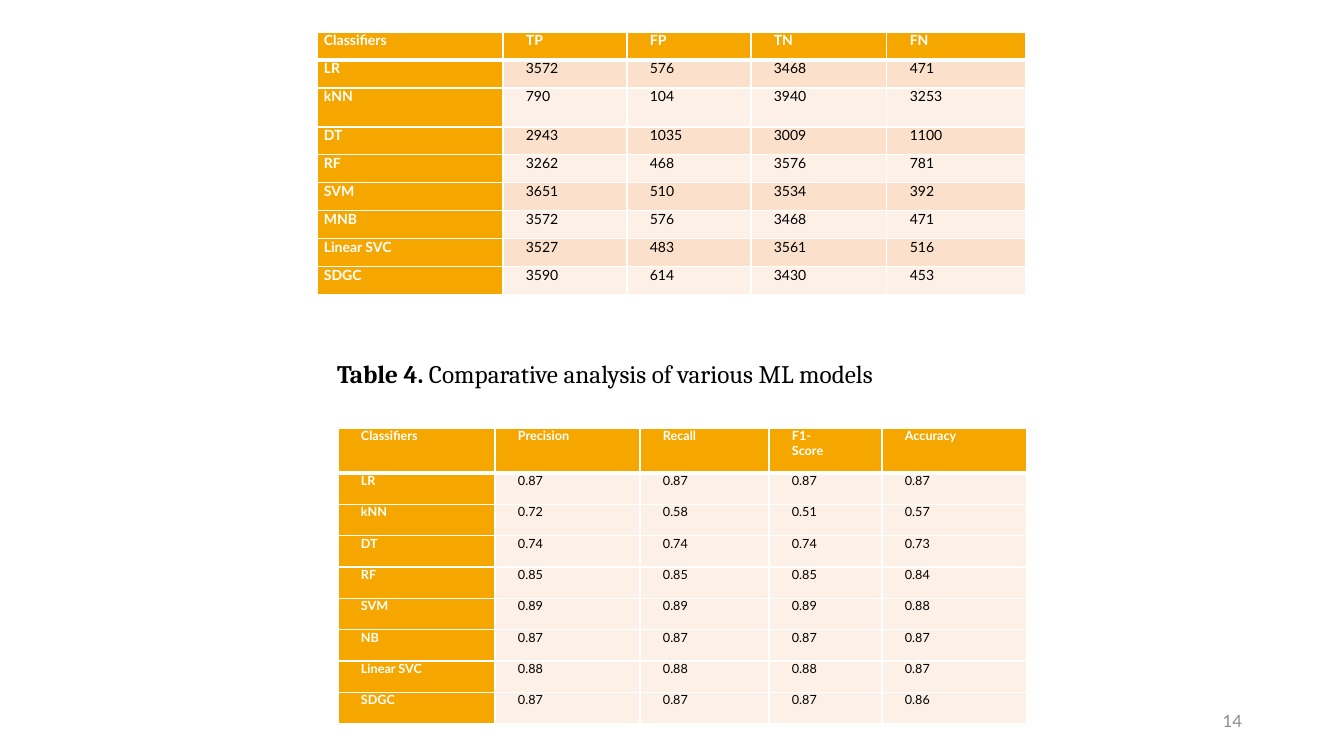
from lxml import etree
from pptx import Presentation
from pptx import util as u
from pptx.dml.color import RGBColor
from pptx.enum import text as t
from pptx.oxml import ns

PX = 914400 / 100.8
ORANGE, PEACH, CREAM = "F5A700", "FBE1CC", "FDF1E7"
WHITE, BLACK, GREY = "FFFFFF", "000000", "8C8C8C"

COUNTS = [
    ["Classifiers", "TP", "FP", "TN", "FN"],
    ["LR", "3572", "576", "3468", "471"],
    ["kNN", "790", "104", "3940", "3253"],
    ["DT", "2943", "1035", "3009", "1100"],
    ["RF", "3262", "468", "3576", "781"],
    ["SVM", "3651", "510", "3534", "392"],
    ["MNB", "3572", "576", "3468", "471"],
    ["Linear SVC", "3527", "483", "3561", "516"],
    ["SDGC", "3590", "614", "3430", "453"],
]
SCORES = [
    ["Classifiers", "Precision", "Recall", "F1-\nScore", "Accuracy"],
    ["LR", "0.87", "0.87", "0.87", "0.87"],
    ["kNN", "0.72", "0.58", "0.51", "0.57"],
    ["DT", "0.74", "0.74", "0.74", "0.73"],
    ["RF", "0.85", "0.85", "0.85", "0.84"],
    ["SVM", "0.89", "0.89", "0.89", "0.88"],
    ["NB", "0.87", "0.87", "0.87", "0.87"],
    ["Linear SVC", "0.88", "0.88", "0.88", "0.87"],
    ["SDGC", "0.87", "0.87", "0.87", "0.86"],
]


def px(length):
    return u.Emu(round(length * PX))


def color(value):
    return RGBColor.from_string(value)


def set_font(font, name, size, value, bold=False):
    font.name, font.size, font.bold = name, u.Pt(size), bold
    font.color.rgb = color(value)


def indent_first_line(para, length):
    properties = para._p.get_or_add_pPr()
    properties.set("marL", "0")
    properties.set("indent", str(px(length)))


def add_borders(cell, top, bottom):
    """Draw white cell borders; top and bottom are widths in points."""
    properties = cell._tc.get_or_add_tcPr()
    widths = {"lnL": 1, "lnR": 1, "lnT": top, "lnB": bottom}
    for index, (tag, width) in enumerate(widths.items()):
        line = etree.Element(ns.qn(f"a:{tag}"), w=str(u.Pt(width)))
        fill = etree.SubElement(line, ns.qn("a:solidFill"))
        etree.SubElement(fill, ns.qn("a:srgbClr"), val=WHITE)
        properties.insert(index, line)


def fill_cell(cell, text, size, fill, heading, indent):
    cell.margin_left = cell.margin_right = px(7)
    cell.margin_top = cell.margin_bottom = 0
    cell.fill.solid()
    cell.fill.fore_color.rgb = color(fill)
    cell.text = text
    for para in cell.text_frame.paragraphs:
        para.alignment = t.PP_ALIGN.JUSTIFY
        indent_first_line(para, indent)
        set_font(para.font, "Lato", size, WHITE if heading else BLACK, heading)


def add_grid(slide, left, top, rows, widths, heights, size, bands, label_indent):
    """Add a table with an orange header row and label column."""
    frame = slide.shapes.add_table(len(rows), len(widths), px(left), px(top),
                                   px(sum(widths)), px(sum(heights)))
    table = frame.table
    table.first_col, table.horz_banding = True, False
    for column, width in zip(table.columns, widths):
        column.width = px(width)
    for r, (values, height) in enumerate(zip(rows, heights)):
        table.rows[r].height = px(height)
        for c, text in enumerate(values):
            heading = r == 0 or c == 0
            fill = ORANGE if heading else bands[(r - 1) % len(bands)]
            indent = label_indent if c == 0 else 16
            cell = table.cell(r, c)
            fill_cell(cell, text, size, fill, heading, indent)
            add_borders(cell, 3 if r == 1 else 1, 3 if r == 0 else 1)


def place_caption(title):
    title.left, title.top, title.width, title.height = map(px, (277, 353, 614, 72))
    frame = title.text_frame
    frame.auto_size = t.MSO_AUTO_SIZE.NONE
    frame.vertical_anchor = t.MSO_ANCHOR.TOP
    frame.word_wrap = True
    frame.margin_right = 0
    para = frame.paragraphs[0]
    para.alignment = t.PP_ALIGN.LEFT
    indent_first_line(para, 50)
    for text, bold in (("Table 4.", True),
                       (" Comparative analysis of various ML models", False)):
        span = para.add_run()
        span.text = text
        set_font(span.font, "Cambria", 18, BLACK, bold)


def add_page_number(slide, number):
    box = slide.shapes.add_textbox(*map(px, (950, 701, 302, 40)))
    frame = box.text_frame
    frame.word_wrap = True
    frame.vertical_anchor = t.MSO_ANCHOR.MIDDLE
    para = frame.paragraphs[0]
    para.text = number
    para.alignment = t.PP_ALIGN.RIGHT
    set_font(para.font, "Lato", 12, GREY)


def main():
    deck = Presentation()
    deck.slide_width, deck.slide_height = px(1344), px(756)
    slide = deck.slides.add_slide(deck.slide_layouts[5])
    add_page_number(slide, "14")
    add_grid(slide, 317, 32, COUNTS, [186, 124, 124, 136, 139],
             [28, 28, 39] + [28] * 6, 10, [PEACH, CREAM], 0)
    add_grid(slide, 338, 428, SCORES, [157, 145, 129, 113, 145],
             [45] + [251 / 8] * 8, 9, [CREAM], 16)
    place_caption(slide.shapes.title)
    deck.save("out.pptx")


if __name__ == "__main__":
    main()
